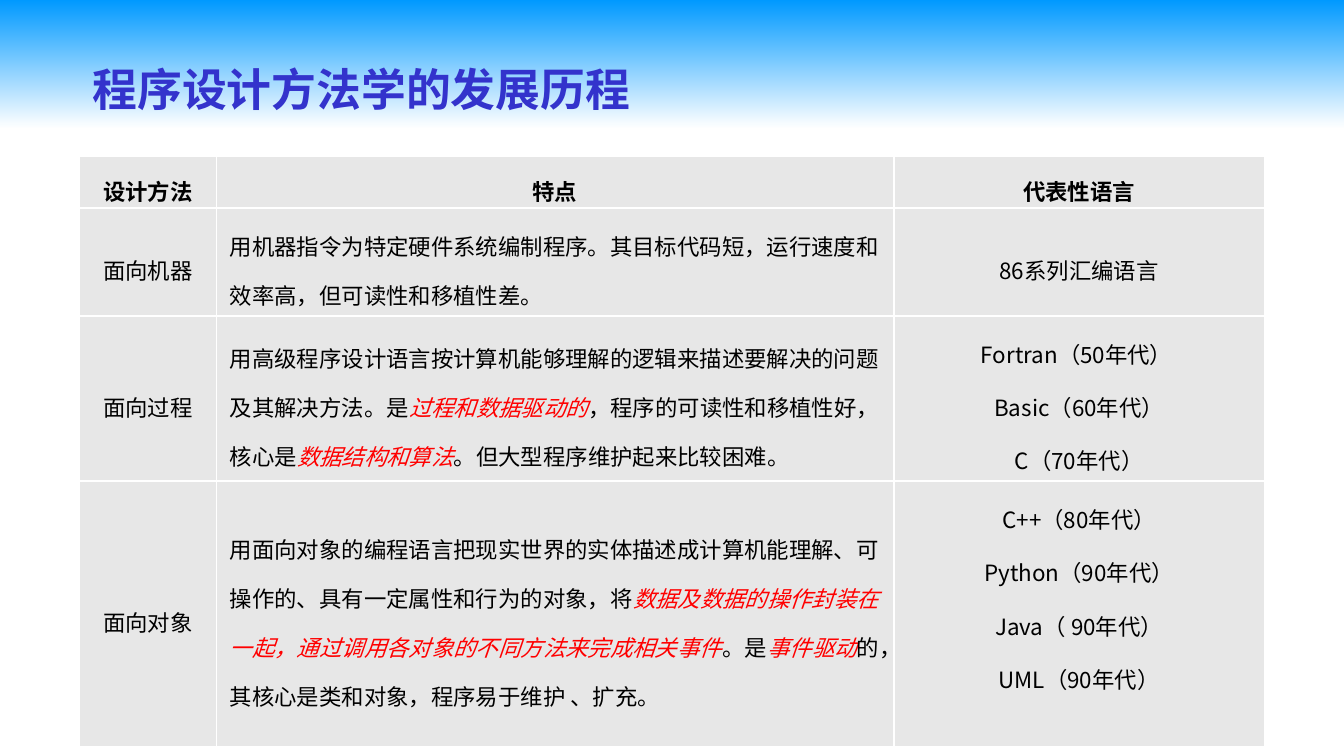
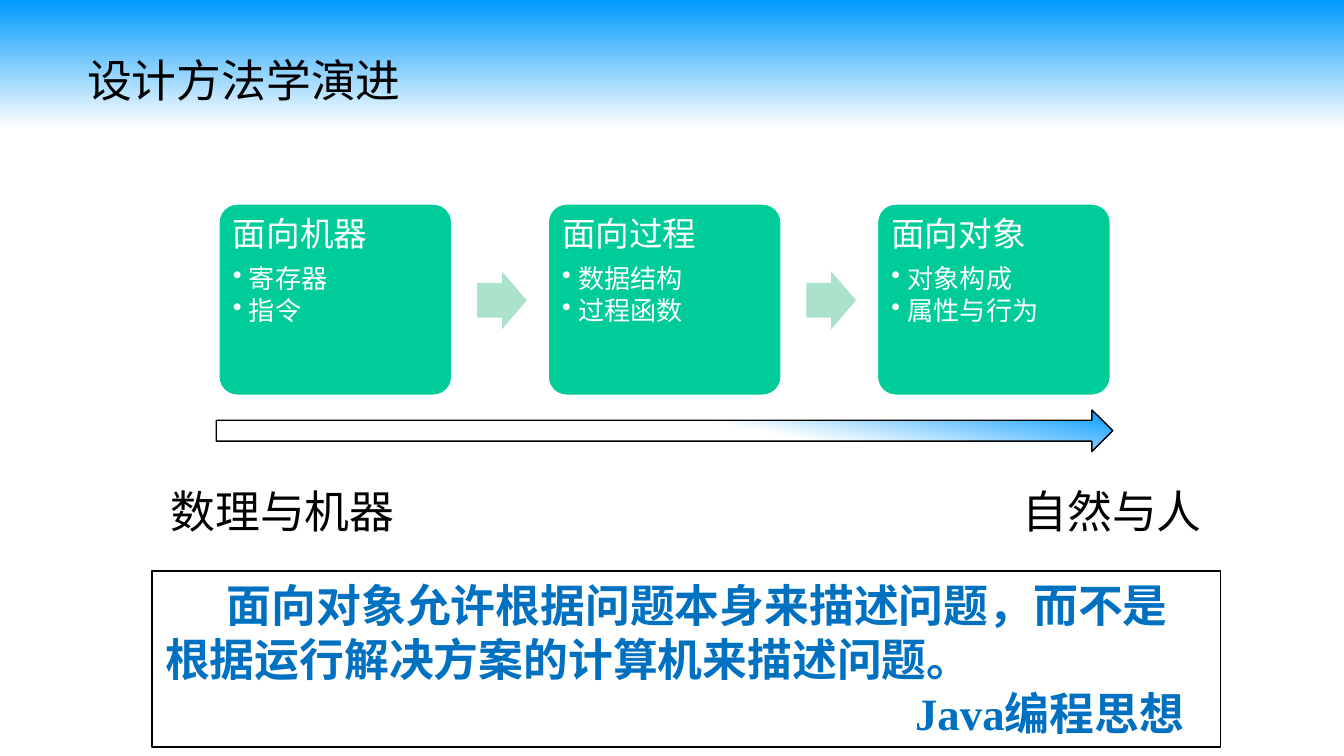
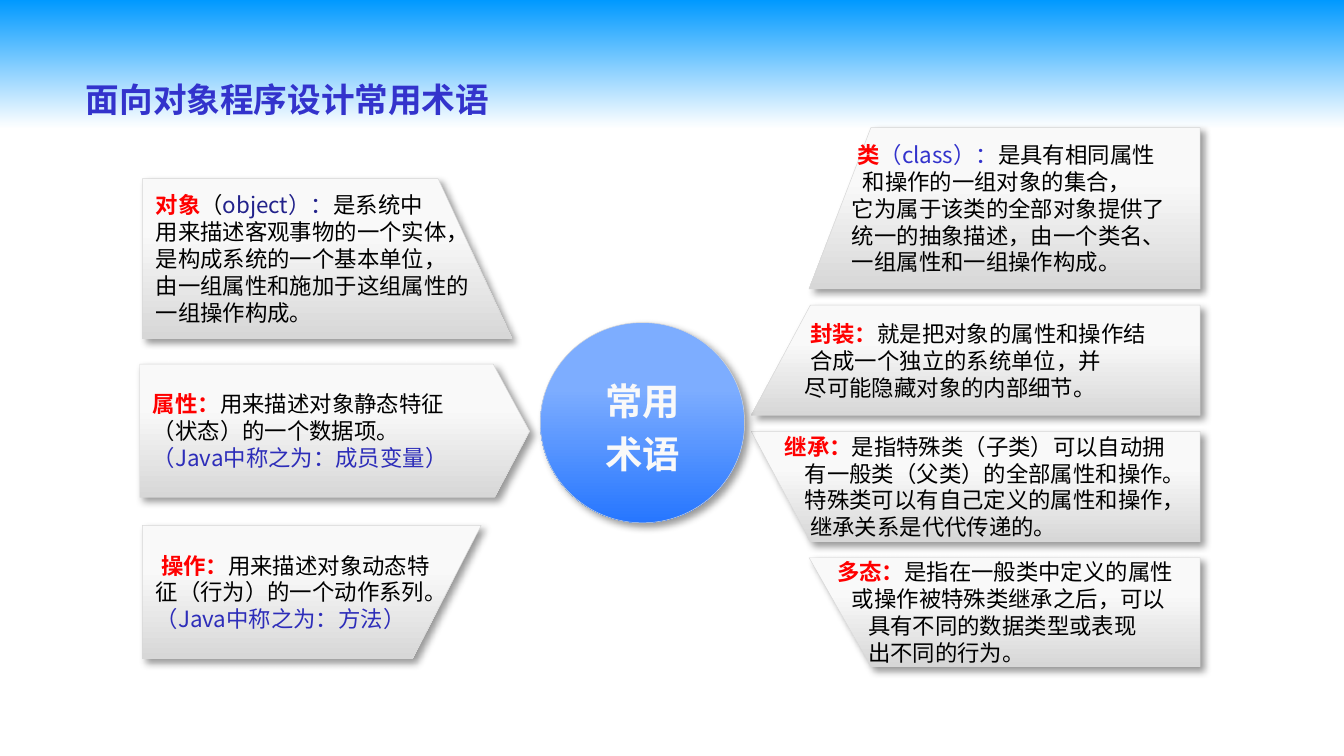
from lxml import etree
from pptx import Presentation
from pptx.dml.color import RGBColor
from pptx.enum.lang import MSO_LANGUAGE_ID
from pptx.enum.shapes import MSO_SHAPE
from pptx.enum.text import MSO_ANCHOR, MSO_AUTO_SIZE, PP_ALIGN
from pptx.oxml.ns import qn
from pptx.util import Inches, Pt

ROUNDED = MSO_SHAPE.ROUNDED_RECTANGLE
RECTANGLE = MSO_SHAPE.RECTANGLE
RIGHT_ARROW = MSO_SHAPE.RIGHT_ARROW
OVAL = MSO_SHAPE.OVAL
TOP, MIDDLE = MSO_ANCHOR.TOP, MSO_ANCHOR.MIDDLE
LEFT, CENTER = PP_ALIGN.LEFT, PP_ALIGN.CENTER
GROW = MSO_AUTO_SIZE.SHAPE_TO_FIT_TEXT
CHINESE = MSO_LANGUAGE_ID.SIMPLIFIED_CHINESE

SKY = RGBColor(0x00, 0x99, 0xFF)
WHITE = RGBColor(0xFF, 0xFF, 0xFF)
BLACK = RGBColor(0x00, 0x00, 0x00)
RED = RGBColor(0xFF, 0x00, 0x00)
INDIGO = RGBColor(0x33, 0x33, 0xCC)
NAVY = RGBColor(0x22, 0x22, 0x8B)
DEEP_BLUE = RGBColor(0x2D, 0x2D, 0xB9)
QUOTE_BLUE = RGBColor(0x00, 0x70, 0xC0)
GREEN = RGBColor(0x00, 0xCC, 0x99)
PALE_GREEN = RGBColor(0xAB, 0xE2, 0xCA)
CELL_GRAY = RGBColor(0xE7, 0xE7, 0xE7)
LIGHT_GRAY = RGBColor(0xF9, 0xF9, 0xF9)
EDGE_GRAY = RGBColor(0xD7, 0xD7, 0xD7)
CIRCLE_LIGHT = RGBColor(0x7D, 0xAD, 0xFF)
CIRCLE_DARK = RGBColor(0x26, 0x76, 0xFF)

SANS = "Noto Sans CJK SC"
SERIF = "Times New Roman"
BODY = {"name": SANS, "size": Pt(12), "color": BLACK}
TITLE = {"name": SANS, "size": Pt(24), "color": INDIGO, "bold": True}
PLAIN_TITLE = {"name": SANS, "size": Pt(24), "color": BLACK}
SMALL_TITLE = {**TITLE, "size": Pt(18)}
LABEL = {"name": SERIF, "size": Pt(24), "color": BLACK}
QUOTE = {"name": SERIF, "size": Pt(24), "color": QUOTE_BLUE, "bold": True}
STAGE = {"name": "Karla", "size": Pt(18), "color": WHITE}
CIRCLE_TEXT = {"name": SANS, "size": Pt(20), "color": LIGHT_GRAY, "bold": True}
ITEM = {"size": Pt(14)}
EMPHASIS = {"color": RED, "italic": True}
TERM = {"color": RED, "bold": True}


def write_text(frame, paragraphs, font_format, paragraph_format):
    for index, runs in enumerate(paragraphs):
        paragraph = frame.add_paragraph() if index else frame.paragraphs[0]
        for name, value in paragraph_format.items():
            if index or name != "space_before":
                setattr(paragraph, name, value)
        for text, changes in [(runs, {})] if isinstance(runs, str) else runs:
            run = paragraph.add_run()
            run.text = text
            values = {**font_format, **changes}
            run.font.color.rgb = values.pop("color")
            run.font.language_id = CHINESE
            for name, value in values.items():
                setattr(run.font, name, value)
            etree.SubElement(run.font._element, qn("a:ea"), typeface=SANS)


def fill_gradient(fill, stops, angle):
    fill.gradient()
    fill.gradient_angle = 360 - angle
    for stop, (position, color) in zip(fill.gradient_stops, stops):
        stop.position = position
        stop.color.rgb = color


presentation = Presentation()
presentation.slide_width = Inches(10)
presentation.slide_height = Inches(10) * 9 // 16
fill_gradient(presentation.slide_master.background.fill, [(0, SKY), (0.17, WHITE)], 90)
blank = presentation.slide_layouts[6]
history, evolution, terms = [presentation.slides.add_slide(blank) for _ in range(3)]

captions = [
    (history, "程序设计方法学的发展历程", 0.59, 0.41, 4.24, 0.5, TITLE),
    (evolution, "设计方法学演进", 0.55, 0.34, 2.56, 0.5, PLAIN_TITLE),
    (evolution, "自然与人", 7.51, 3.55, 1.55, 0.5, LABEL),
    (evolution, "数理与机器", 1.17, 3.55, 1.88, 0.5, LABEL),
    (terms, "面向对象程序设计常用术语", 0.54, 0.54, 3.89, 0.4, SMALL_TITLE),
]
for slide, text, left, top, width, height, font_format in captions:
    box = slide.shapes.add_textbox(Inches(left), Inches(top), Inches(width), Inches(height))
    box.text_frame.word_wrap = False
    box.text_frame.auto_size = GROW
    write_text(box.text_frame, [text], font_format, {"alignment": LEFT})

method_rows = [
    [["设计方法"], ["特点"], ["代表性语言"]],
    [
        ["面向机器"],
        ["用机器指令为特定硬件系统编制程序。其目标代码短，运行速度和效率高，但可读性和移植性差。"],
        ["86系列汇编语言"],
    ],
    [
        ["面向过程"],
        [[
            ("用高级程序设计语言按计算机能够理解的逻辑来描述要解决的问题及其解决方法。是", {}),
            ("过程和数据驱动的", EMPHASIS),
            ("，程序的可读性和移植性好，核心是", {}),
            ("数据结构和算法", EMPHASIS),
            ("。但大型程序维护起来比较困难。", {}),
        ]],
        ["Fortran（50年代） ", "Basic（60年代）", "C（70年代）"],
    ],
    [
        ["面向对象"],
        [[
            ("用面向对象的编程语言把现实世界的实体描述成计算机能理解、可操作的、具有一定属性和行为的对象，将", {}),
            ("数据及数据的操作封装在一起，通过调用各对象的不同方法来完成相关事件", EMPHASIS),
            ("。是", {}),
            ("事件驱动", EMPHASIS),
            ("的，其核心是类和对象，程序易于维护 、扩充。", {}),
        ]],
        ["C++（80年代）", "Python（90年代）", "Java（ 90年代）", "UML（90年代）"],
    ],
]
table = history.shapes.add_table(
    4, 3, Inches(0.59), Inches(1.16), Inches(8.82), Inches(4.4)
).table
table.first_row = False
table.horz_banding = False
for column, width in zip(table.columns, (1.02, 5.04, 2.76)):
    column.width = Inches(width)
for row, height in zip(table.rows, (0.39, 0.8, 1.23, 1.98)):
    row.height = Inches(height)
for row_index, method_row in enumerate(method_rows):
    is_header = row_index == 0
    for column_index, paragraphs in enumerate(method_row):
        cell = table.cell(row_index, column_index)
        cell.vertical_anchor = MIDDLE
        cell.margin_left = cell.margin_right = Inches(0.06 if is_header else 0.1)
        cell.margin_top = cell.margin_bottom = Inches(0.02 if is_header else 0.04)
        cell_properties = cell._tc.get_or_add_tcPr()
        for side in ("a:lnL", "a:lnR", "a:lnT", "a:lnB"):
            border = etree.SubElement(cell_properties, qn(side), w=str(Pt(1)))
            border_fill = etree.SubElement(border, qn("a:solidFill"))
            etree.SubElement(border_fill, qn("a:srgbClr"), val=str(WHITE))
        cell.fill.solid()
        cell.fill.fore_color.rgb = CELL_GRAY
        is_feature = column_index == 1 and not is_header
        write_text(cell.text_frame, paragraphs, {**BODY, "bold": is_header}, {
            "alignment": LEFT if is_feature else CENTER,
            "line_spacing": 1.5,
            "space_before": Pt(2.4),
        })
table.cell(3, 2).margin_bottom = Inches(0.42)

stages = [
    ("面向机器", "寄存器", "指令"),
    ("面向过程", "数据结构", "过程函数"),
    ("面向对象", "对象构成", "属性与行为"),
]
STAGE_PITCH = 2.45
for index, (heading, *items) in enumerate(stages):
    offset = index * STAGE_PITCH
    stage = evolution.shapes.add_shape(
        ROUNDED, Inches(1.62 + offset), Inches(1.51), Inches(1.75), Inches(1.44)
    )
    stage.adjustments[0] = 0.1
    stage.shadow.inherit = False
    stage.fill.solid()
    stage.fill.fore_color.rgb = GREEN
    stage.line.color.rgb = WHITE
    stage.line.width = Pt(2)
    frame = stage.text_frame
    frame.word_wrap = True
    frame.vertical_anchor = TOP
    for side in ("left", "right", "top", "bottom"):
        setattr(frame, f"margin_{side}", Inches(0.07))
    write_text(frame, [heading] + [[(item, ITEM)] for item in items], STAGE, {
        "alignment": LEFT, "line_spacing": 0.9, "space_after": Pt(2.1),
    })
    frame.paragraphs[0].space_after = Pt(6.3)
    for paragraph in frame.paragraphs[1:]:
        properties = paragraph._p.get_or_add_pPr()
        properties.set("marL", str(Inches(0.12)))
        properties.set("indent", str(Inches(-0.12)))
        etree.SubElement(properties, qn("a:buChar"), char="•")
    if index < len(stages) - 1:
        step = evolution.shapes.add_shape(
            RIGHT_ARROW, Inches(3.55 + offset), Inches(2.02), Inches(0.37), Inches(0.43)
        )
        step.adjustments[0] = 0.6
        step.shadow.inherit = False
        step.fill.solid()
        step.fill.fore_color.rgb = PALE_GREEN
        step.line.fill.background()

trend = evolution.shapes.add_shape(
    RIGHT_ARROW, Inches(1.61), Inches(3.05), Inches(6.67), Inches(0.31)
)
fill_gradient(trend.fill, [(0, SKY), (0.42, WHITE)], 100)
quote = evolution.shapes.add_shape(
    RECTANGLE, Inches(1.13), Inches(4.25), Inches(7.95), Inches(1.31)
)
quote.fill.background()
for shape in (trend, quote):
    shape.shadow.inherit = False
    shape.line.color.rgb = BLACK
    shape.line.width = Pt(0.75)
quote.text_frame.word_wrap = True
quote.text_frame.vertical_anchor = TOP
write_text(quote.text_frame, [
    "面向对象允许根据问题本身来描述问题，而不是根据运行解决方案的计算机来描述问题。",
    "Java编程思想",
], QUOTE, {"alignment": LEFT})
saying, source = quote.text_frame.paragraphs
saying._p.get_or_add_pPr().set("indent", str(Inches(0.46)))
source._p.get_or_add_pPr().set("marL", str(Inches(5.58)))

term_cards = [
    ([(8.93, 2.15), (8.93, 0.95), (6.48, 0.95), (6.02, 2.15)], [
        (0.26, [("类", TERM), ("（class）：", {"color": INDIGO}), ("是具有相同属性", {})]),
        (0.3, "和操作的一组对象的集合，"),
        (0.22, "它为属于该类的全部对象提供了"),
        (0.22, "统一的抽象描述，由一个类名、"),
        (0.22, "一组属性和一组操作构成。"),
    ]),
    ([(8.93, 3.09), (8.93, 2.27), (6.03, 2.27), (5.59, 3.09)], [
        (0.34, [("封装：", TERM), ("就是把对象的属性和操作结", {})]),
        (0.34, "合成一个独立的系统单位，并"),
        (0.3, "尽可能隐藏对象的内部细节。"),
    ]),
    ([(8.93, 4.03), (8.93, 3.21), (5.59, 3.21), (6.03, 4.03)], [
        (0.15, [("继承：", TERM), ("是指特殊类（子类）可以自动拥", {})]),
        (0.3, "有一般类（父类）的全部属性和操作。"),
        (0.3, "特殊类可以有自己定义的属性和操作，"),
        (0.34, "继承关系是代代传递的。"),
    ]),
    ([(8.93, 4.15), (6.02, 4.15), (6.48, 4.96), (8.93, 4.96)], [
        (0.11, [("多态：", TERM), ("是指在一般类中定义的属性", {})]),
        (0.22, "或操作被特殊类继承之后，可以"),
        (0.34, "具有不同的数据类型或表现"),
        (0.34, "出不同的行为。"),
    ]),
    ([(3.81, 2.52), (3.26, 1.33), (1.06, 1.33), (1.06, 2.52)], [
        (0, [("对象", TERM), ("（", {}), ("object）：", {"color": NAVY}), ("是系统中", {})]),
        (0, "用来描述客观事物的一个实体，"),
        (0, "是构成系统的一个基本单位，"),
        (0, "由一组属性和施加于这组属性的"),
        (0, "一组操作构成。"),
    ]),
    ([(3.68, 3.7), (3.94, 3.21), (3.67, 2.71), (1.04, 2.71), (1.04, 3.7)], [
        (0, [("属性：", TERM), ("用来描述对象静态特征", {})]),
        (0, "（状态）的一个数据项。"),
        (0, [("（Java中称之为：成员变量）", {"color": DEEP_BLUE})]),
    ]),
    ([(3.58, 3.91), (1.06, 3.91), (1.06, 4.9), (3.07, 4.9)], [
        (0.04, [("操作：", TERM), ("用来描述对象动态特", {})]),
        (0, "征（行为）的一个动作系列。"),
        (0, [("（Java中称之为：方法）", {"color": DEEP_BLUE})]),
    ]),
]
raised_shapes = []
for corners, lines in term_cards:
    points = [(Inches(x), Inches(y)) for x, y in corners]
    builder = terms.shapes.build_freeform(*points[0])
    builder.add_line_segments(points[1:], close=True)
    card = builder.convert_to_shape()
    fill_gradient(card.fill, [(0.33, LIGHT_GRAY), (1, EDGE_GRAY)], 90)
    write_text(card.text_frame, [runs for _, runs in lines], BODY, {"alignment": LEFT})
    for paragraph, (indent, _) in zip(card.text_frame.paragraphs, lines):
        paragraph._p.get_or_add_pPr().set("marL", str(Inches(indent)))
    raised_shapes.append(card)

circle = terms.shapes.add_shape(OVAL, Inches(4.02), Inches(2.4), Inches(1.52), Inches(1.49))
fill_gradient(circle.fill, [(0.33, CIRCLE_LIGHT), (1, CIRCLE_DARK)], 90)
write_text(circle.text_frame, ["常用", "术语"], CIRCLE_TEXT, {
    "alignment": CENTER, "line_spacing": 1.2,
})
raised_shapes.append(circle)

for shape in raised_shapes:
    shape.text_frame.word_wrap = True
    shape.text_frame.vertical_anchor = MIDDLE
    shape.line.color.rgb = EDGE_GRAY
    shape.line.width = Pt(0.25)
    shape.shadow.inherit = False
    effects = shape._element.spPr.find(qn("a:effectLst"))
    shadow = etree.SubElement(effects, qn("a:outerShdw"), {
        "blurRad": str(Pt(4)), "dist": str(Pt(3)), "dir": str(45 * 60000),
        "algn": "tl", "rotWithShape": "0",
    })
    shadow_color = etree.SubElement(shadow, qn("a:srgbClr"), val=str(BLACK))
    etree.SubElement(shadow_color, qn("a:alpha"), val="40000")

presentation.save("out.pptx")
